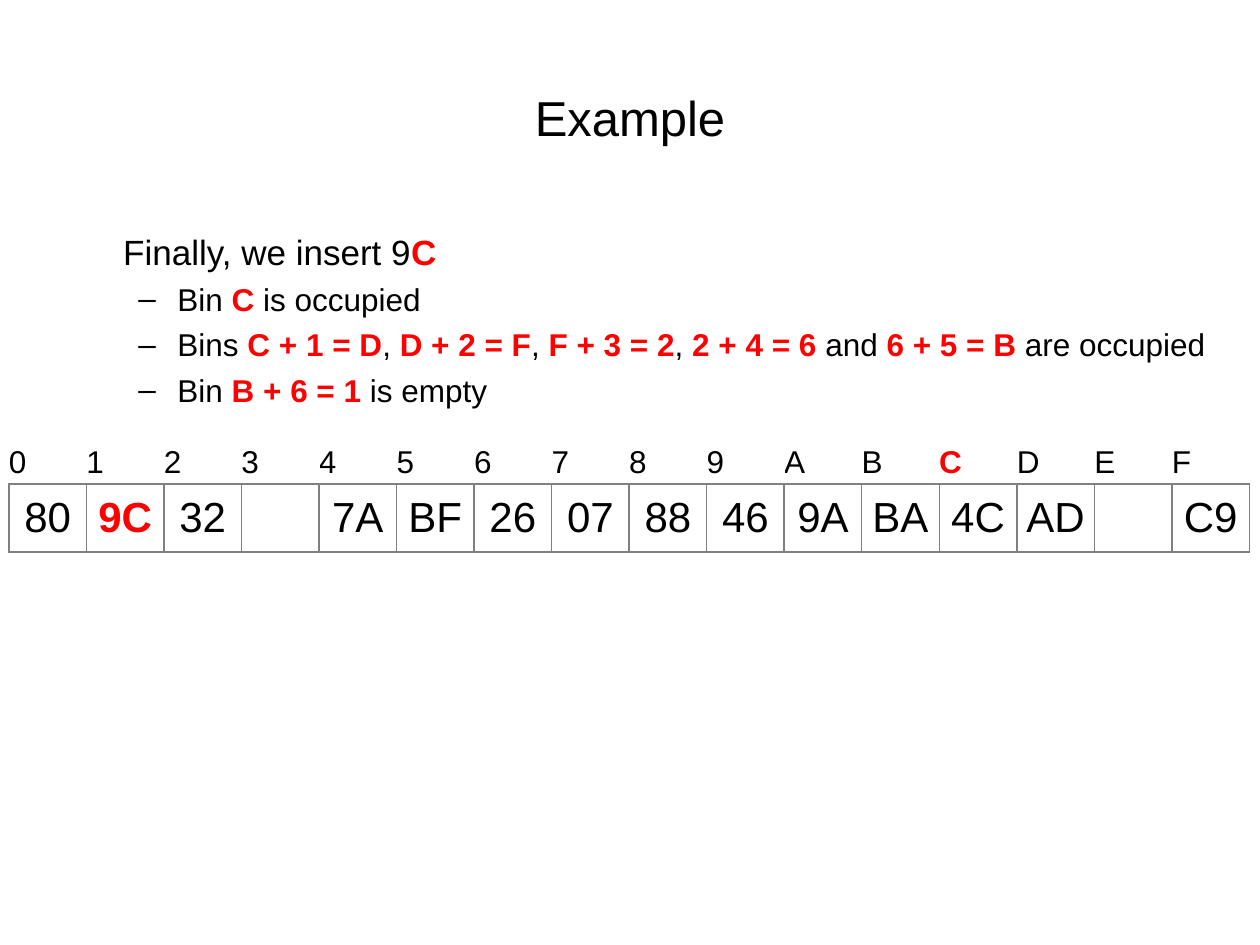
from typing import NamedTuple

from lxml import etree
from pptx import Presentation
from pptx.dml.color import RGBColor
from pptx.enum.text import MSO_ANCHOR, PP_ALIGN
from pptx.oxml.ns import qn
from pptx.util import Inches, Pt

LEFT, CENTER = PP_ALIGN.LEFT, PP_ALIGN.CENTER
MIDDLE = MSO_ANCHOR.MIDDLE
TITLE_ONLY = 5
FONT = "Arial"
COLORS = {"text": "000000", "accent": "FF0000", "border": "808080"}
BORDER_WIDTH = Pt(1)


class Line(NamedTuple):
    """A line of text; parts between asterisks are highlighted."""
    text: str
    size: int
    margin: float
    indent: float = 0
    bullet: str = ""
    space_before: float = 0


class Row(NamedTuple):
    cells: list[str]
    height: float
    size: int
    align: PP_ALIGN
    sides: str


def step(text: str) -> Line:
    return Line(text, 18, 0.81, -0.31, "–", 4.3)


LINES = [
    Line("Finally, we insert 9*C*", 20, 0.38),
    step("Bin *C* is occupied"),
    step("Bins *C + 1 = D*, *D + 2 = F*, *F + 3 = 2*, *2 + 4 = 6* and *6 + 5 = B* are occupied"),
    step("Bin *B + 6 = 1* is empty"),
]
BINS = [
    Row("0 1 2 3 4 5 6 7 8 9 A B *C* D E F".split(" "), 0.33, 18, LEFT, "B"),
    Row("80,*9C*,32,,7A,BF,26,07,88,46,9A,BA,4C,AD,,C9".split(","), 0.54, 24, CENTER, "LRTB"),
]


def write_marked(para, text: str, size: int) -> None:
    """Write text as runs, with the parts between asterisks bold and red."""
    for number, part in enumerate(text.split("*")):
        if not part:
            continue
        marked = number % 2 == 1
        span = para.add_run()
        span.text = part
        span.font.name = FONT
        span.font.size = Pt(size)
        span.font.bold = marked
        span.font.color.rgb = RGBColor.from_string(COLORS["accent" if marked else "text"])


def add_lines(page, lines: list[Line]) -> None:
    box = page.shapes.add_textbox(Inches(0.5), Inches(1.75), Inches(9.3), Inches(4.95))
    frame = box.text_frame
    frame.word_wrap = True
    frame.margin_top = Inches(0.08)
    for number, line in enumerate(lines):
        para = frame.add_paragraph() if number else frame.paragraphs[0]
        properties = para._p.get_or_add_pPr()
        properties.set("marL", str(Inches(line.margin)))
        properties.set("indent", str(Inches(line.indent)))
        if line.bullet:
            etree.SubElement(properties, qn("a:buFont"), typeface=FONT)
            etree.SubElement(properties, qn("a:buChar"), char=line.bullet)
        para.space_before = Pt(line.space_before)
        write_marked(para, line.text, line.size)


def add_borders(cell, sides: str) -> None:
    properties = cell._tc.get_or_add_tcPr()
    for position, side in enumerate(sides):
        border = etree.Element(qn(f"a:ln{side}"), w=str(BORDER_WIDTH))
        fill = etree.SubElement(border, qn("a:solidFill"))
        etree.SubElement(fill, qn("a:srgbClr"), val=COLORS["border"])
        properties.insert(position, border)


def add_bins(page, rows: list[Row]) -> None:
    """Draw the hash table, with the bin numbers above the bins."""
    height = sum(row.height for row in rows)
    table = page.shapes.add_table(
        len(rows), len(rows[0].cells),
        Inches(0.07), Inches(3.51), Inches(9.85), Inches(height),
    ).table
    table.first_row = False
    table.horz_banding = False
    for row_number, row in enumerate(rows):
        table.rows[row_number].height = Inches(row.height)
        for column, text in enumerate(row.cells):
            cell = table.cell(row_number, column)
            cell.margin_left = cell.margin_right = 0
            cell.margin_top = cell.margin_bottom = 0
            cell.vertical_anchor = MIDDLE
            cell.fill.background()
            add_borders(cell, row.sides)
            para = cell.text_frame.paragraphs[0]
            para.alignment = row.align
            write_marked(para, text, row.size)


def set_title(page, text: str) -> None:
    title = page.shapes.title
    title.left, title.top = Inches(0.5), Inches(0.3)
    title.width, title.height = Inches(9), Inches(1.25)
    title.text_frame.vertical_anchor = MIDDLE
    para = title.text_frame.paragraphs[0]
    para.alignment = CENTER
    write_marked(para, text, 28)


def main() -> None:
    deck = Presentation()
    deck.slide_width, deck.slide_height = Inches(10), Inches(7.5)
    page = deck.slides.add_slide(deck.slide_layouts[TITLE_ONLY])
    add_lines(page, LINES)
    set_title(page, "Example")
    add_bins(page, BINS)
    deck.save("out.pptx")


if __name__ == "__main__":
    main()
